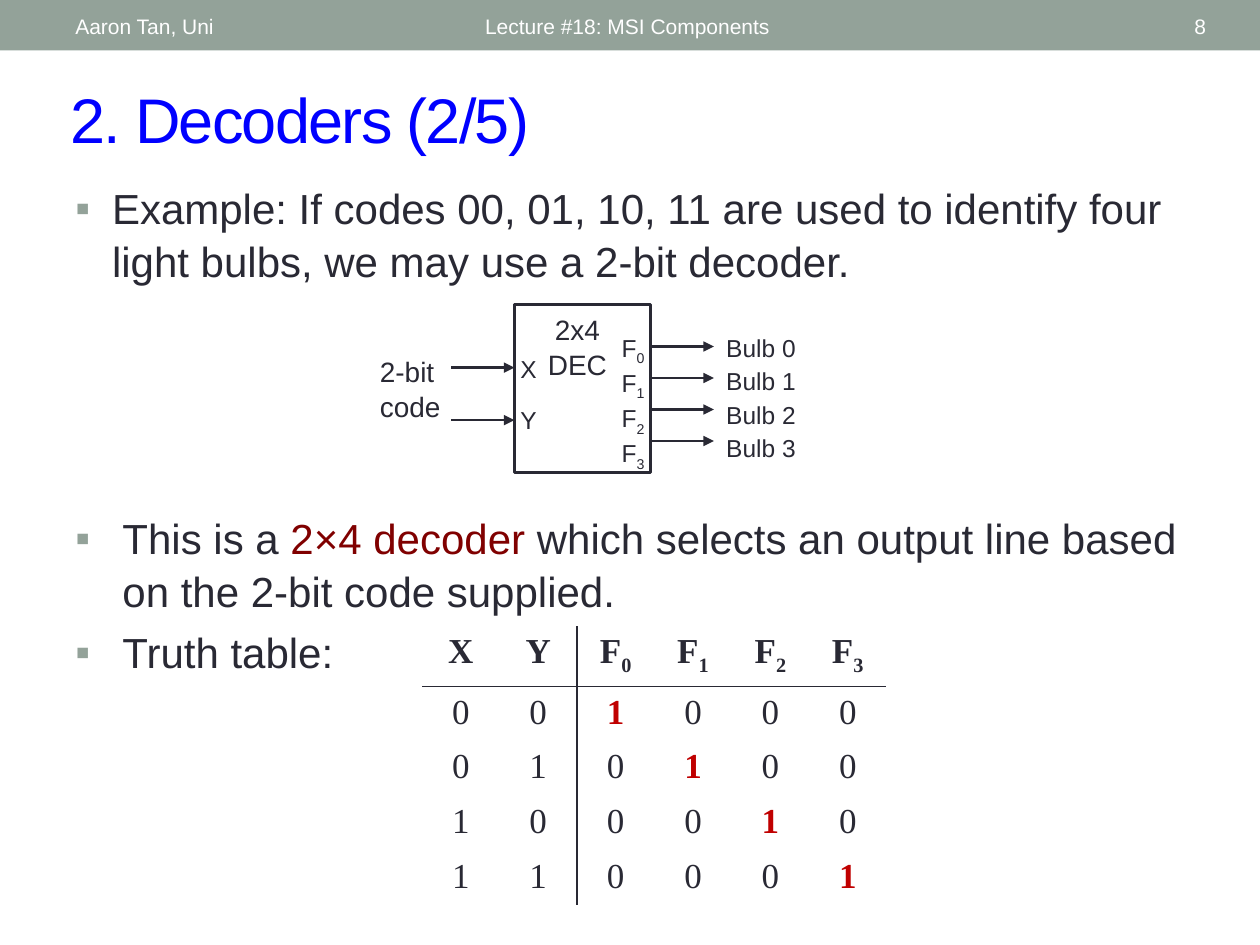
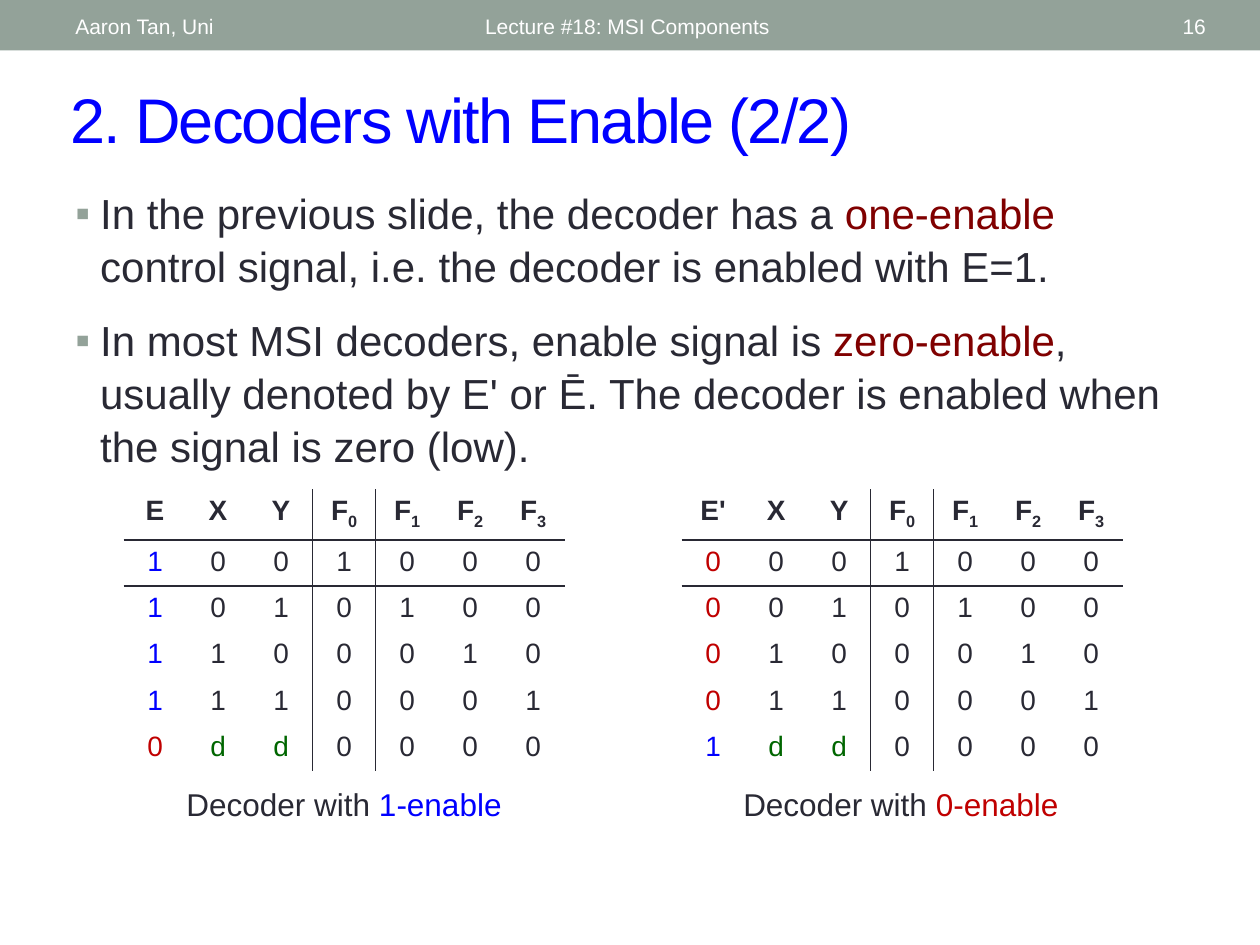
from dataclasses import dataclass
from lxml.etree import SubElement
from pptx import Presentation
from pptx.dml.color import RGBColor
from pptx.enum.shapes import MSO_CONNECTOR, MSO_SHAPE
from pptx.enum.text import MSO_ANCHOR, PP_ALIGN
from pptx.oxml.ns import qn
from pptx.util import Cm, Pt


@dataclass(frozen=True)
class Theme:
    band: str = "93A299"
    ink: str = "292934"
    blue: str = "0000FF"
    wine: str = "800000"
    red: str = "C00000"
    green: str = "006600"
    white: str = "FFFFFF"
    sans: str = "Arial"
    serif: str = "Times New Roman"
    title: int = 36
    body: int = 24
    grid: int = 20
    label: int = 18
    mid: int = 16
    small: int = 14
    foot: int = 12
    lead: float = 1.05


T = Theme()
BASE = {"name": T.sans, "size": T.body, "color": T.ink, "bold": False}
WINE, BLUE, RED, GREEN = ({"color": c} for c in (T.wine, T.blue, T.red, T.green))
HOT = {"color": T.red, "bold": True}
MID = {"align": PP_ALIGN.CENTER}

FOOT = [
    ("Lecture #18: MSI Components", 9.53, 11.43, PP_ALIGN.LEFT),
    ("Aaron Tan, Uni", 1.27, 8.05, PP_ALIGN.LEFT),
]

INTRO = [[("Example: If codes 00, 01, 10, 11 are used to identify four light bulbs, "
           "we may use a 2-bit decoder.", {})]]
USE = [
    [("This is a ", {}), ("2×4 decoder", WINE),
     (" which selects an output line based on the 2-bit code supplied.", {})],
    [("Truth table:", {})],
]
ENABLE = [
    [("In the previous slide, the decoder has a ", {}), ("one-enable", WINE),
     (" control signal, i.e. the decoder is enabled with E=1.", {})],
    [("In most MSI decoders, enable signal is ", {}), ("zero-enable", WINE),
     (", usually denoted by E' or Ē. The decoder is enabled when the signal is zero (low).", {})],
]

OUTS = ["F0", "F1", "F2", "F3"]
LABELS = [
    (["2x4", "DEC"], (10.58, 6.14, 2.12, 1.63), T.mid, MID),
    (["2-bit code"], (7.41, 6.98, 1.91, 1.63), T.mid, {}),
    (["X", "Y"], (10.24, 6.98, 1.07, 1.85), T.small, {"before": 11.7}),
    (OUTS, (12.28, 6.56, 1.07, 2.62), T.small, {}),
    ([f"Bulb {n}" for n in range(4)], (14.39, 6.56, 2.97, 2.79), T.small, {"before": 1.4}),
]
CHIP = (10.37, 6.14, 2.75, 3.39)
WIRE = 1.27
INS = [7.41, 8.47]
STEP = 0.635

TRUTH = {
    "heads": ["X", "Y", *OUTS],
    "rows": ["001000", "010100", "100010", "110001"],
    "hues": {(col, "1"): HOT for col in range(2, 6)},
    "cuts": ({2}, {1}),
    "spot": (8.51, 12.62),
    "cell": (1.56, 1.1),
    "look": {"name": T.serif, "size": T.grid},
}
DONT = {(1, "d"): GREEN, (2, "d"): GREEN}
GATES = [
    ("E", "1", "0", 2.49, "1-enable", BLUE, (2.64, 8.59)),
    ("E'", "0", "1", 13.74, "0-enable", RED, (14.02, 8.28)),
]
CODES = ["001000", "010100", "100010", "110001"]


def write(frame, paras, look=None, align=PP_ALIGN.LEFT, before=0, lead=T.lead, hang=0):
    frame.word_wrap = True
    for n, runs in enumerate(paras):
        para = frame.paragraphs[0] if n == 0 else frame.add_paragraph()
        form = {"alignment": align, "space_before": Pt(before if n else 0), "line_spacing": lead}
        for key, val in form.items():
            setattr(para, key, val)
        if hang:
            props = para._p.get_or_add_pPr()
            props.set("marL", str(Cm(hang)))
            props.set("indent", str(-Cm(hang)))
            tint = SubElement(props, qn("a:buClr"))
            SubElement(tint, qn("a:srgbClr"), val=T.band)
            SubElement(props, qn("a:buFont"), typeface=T.sans)
            SubElement(props, qn("a:buChar"), char="▪")
        for text, more in runs:
            run = para.add_run()
            run.text = text
            for key, val in {**BASE, **(look or {}), **more}.items():
                if key == "color":
                    run.font.color.rgb = RGBColor.from_string(val)
                elif key in ("baseline", "spc"):
                    run._r.get_or_add_rPr().set(key, str(val))
                else:
                    setattr(run.font, key, Pt(val) if key == "size" else val)


def split(name):
    if name in OUTS:
        return [(name[0], {}), (name[1], {"baseline": -25000})]
    return [(name, {})]


def label(slide, paras, spot, look=None, anchor=MSO_ANCHOR.TOP, **form):
    frame = slide.shapes.add_textbox(*map(Cm, spot)).text_frame
    frame.vertical_anchor = anchor
    write(frame, paras, look, **form)


def block(slide, spot, fill=None, line=None):
    box = slide.shapes.add_shape(MSO_SHAPE.RECTANGLE, *map(Cm, spot))
    box.shadow.inherit = False
    for part, tone in ((box.fill, fill), (box.line.fill, line)):
        if tone:
            part.solid()
            part.fore_color.rgb = RGBColor.from_string(tone)
        else:
            part.background()
    if line:
        box.line.width = Pt(1.5)


def arrow(slide, left, top):
    wire = slide.shapes.add_connector(
        MSO_CONNECTOR.STRAIGHT, Cm(left), Cm(top), Cm(left + WIRE), Cm(top))
    wire.line.width = Pt(1.25)
    wire.line.color.rgb = RGBColor.from_string(T.ink)
    SubElement(wire.line._get_or_add_ln(), qn("a:tailEnd"), type="triangle")
    SubElement(wire._element.spPr, qn("a:effectLst"))


def edge(cell, sides):
    props = cell._tc.get_or_add_tcPr()
    for side, shown in sides.items():
        line = SubElement(props, qn(f"a:ln{side}"), w=str(Pt(1)))
        if shown:
            fill = SubElement(line, qn("a:solidFill"))
            SubElement(fill, qn("a:srgbClr"), val=T.ink)
        else:
            SubElement(line, qn("a:noFill"))


def grid(slide, heads, rows, hues, cuts, spot, cell, look):
    lines = [heads, *rows]
    high, wide = len(lines), len(heads)
    size = (cell[0] * wide, cell[1] * high)
    table = slide.shapes.add_table(high, wide, *map(Cm, spot + size)).table
    table.first_row = table.horz_banding = False
    for col in table.columns:
        col.width = Cm(cell[0])
    for r, line in enumerate(lines):
        table.rows[r].height = Cm(cell[1])
        for c, val in enumerate(line):
            unit = table.cell(r, c)
            more = hues.get((c, val), {}) if r else {"bold": True}
            write(unit.text_frame, [split(val)], {**look, **more}, lead=1.0, **MID)
            edge(unit, {"L": c in cuts[0], "R": c + 1 in cuts[0],
                        "T": r in cuts[1], "B": r + 1 in cuts[1]})
            unit.fill.background()


def start(deck, title, page):
    slide = deck.slides.add_slide(deck.slide_layouts[6])
    block(slide, (0, 0, 25.4, 1.02), fill=T.band)
    label(slide, [[(title, {})]], (1.17, 1.45, 23.6, 1.78),
          {"size": T.title, "color": T.blue, "spc": -100}, MSO_ANCHOR.MIDDLE)
    for text, left, width, align in FOOT + [(page, 22.15, 2.41, PP_ALIGN.RIGHT)]:
        label(slide, [[(text, {})]], (left, 0.05, width, 0.91),
              {"size": T.foot, "color": T.white}, MSO_ANCHOR.MIDDLE, align=align)
    return slide


def decode(deck):
    slide = start(deck, "2. Decoders (2/5)", "8")
    label(slide, INTRO, (1.27, 3.51, 22.86, 2.64), hang=0.74)
    block(slide, CHIP, line=T.ink)
    for top in INS:
        arrow(slide, CHIP[0] - WIRE, top)
    for n in range(len(OUTS)):
        arrow(slide, CHIP[0] + CHIP[2], 6.985 + n * STEP)
    for names, spot, size, form in LABELS:
        label(slide, [split(name) for name in names], spot, {"size": size}, **form)
    label(slide, USE, (1.27, 10.16, 22.86, 4.88), before=4.8, hang=0.95)
    grid(slide, **TRUTH)


def gate(deck):
    slide = start(deck, "2. Decoders with Enable (2/2)", "16")
    label(slide, ENABLE, (1.27, 3.61, 22.86, 6.07), before=12, hang=0.5)
    for head, live, dead, left, mode, tone, (start_x, width) in GATES:
        grid(slide, [head, "X", "Y", *OUTS],
             [live + code for code in CODES] + [dead + "dd0000"],
             {(0, "1"): BLUE, (0, "0"): RED, **DONT}, ({3, 4}, {1, 2}),
             (left, 9.86), (1.27, 0.93), {"size": T.mid})
        label(slide, [[("Decoder with ", {}), (mode, tone)]],
              (start_x, 15.67, width, 1.02), {"size": T.label}, **MID)


def main():
    deck = Presentation()
    deck.slide_width, deck.slide_height = Cm(25.4), Cm(19.05)
    decode(deck)
    gate(deck)
    deck.save("out.pptx")


if __name__ == "__main__":
    main()
